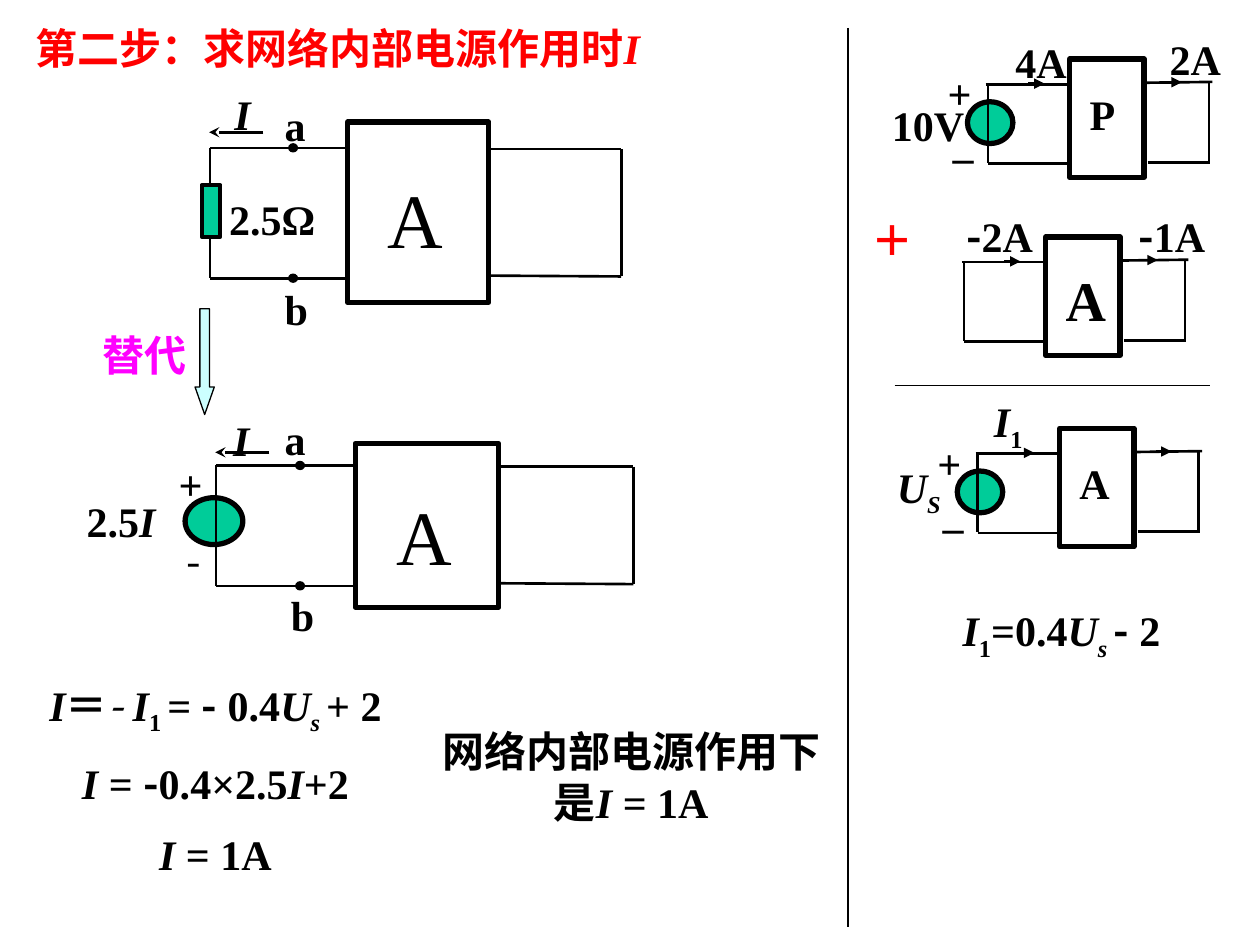
"""Build a slide that solves a network current by substitution and superposition."""
from dataclasses import dataclass, replace
from typing import Optional

from lxml import etree
from pptx import Presentation
from pptx.dml.color import RGBColor
from pptx.enum import shapes, text
from pptx.oxml import ns
from pptx.util import Pt

BLACK = RGBColor(0x00, 0x00, 0x00)
WHITE = RGBColor(0xFF, 0xFF, 0xFF)
RED = RGBColor(0xFF, 0x00, 0x00)
MAGENTA = RGBColor(0xFF, 0x00, 0xFF)
GREEN = RGBColor(0x00, 0xCC, 0x99)
PALE_CYAN = RGBColor(0xCC, 0xFF, 0xFF)
SERIF = "Times New Roman"
SANS = "Noto Sans CJK SC"
LEFT, CENTER = text.PP_ALIGN.LEFT, text.PP_ALIGN.CENTER
RECTANGLE = shapes.MSO_SHAPE.RECTANGLE
OVAL = shapes.MSO_SHAPE.OVAL


@dataclass(frozen=True)
class Run:
    text: str
    italic: bool = False
    subscript: bool = False
    bold: bool = True
    font: str = SERIF
    size: float = 24
    color: RGBColor = BLACK


@dataclass(frozen=True)
class Label:
    left: float
    top: float
    width: float
    paragraphs: list[list[Run]]
    align: text.PP_ALIGN = LEFT
    height: float = 34.6
    wrap: bool = True


@dataclass(frozen=True)
class LargeNetwork:
    left: float
    top: float
    width: float
    height: float
    wire_left: float
    wire_right: float
    upper: float
    lower: float
    dot: float
    current: float


@dataclass(frozen=True)
class SmallNetwork:
    left: float
    top: float
    has_source: bool


MINUS = Run("-", font=SANS)
CURRENT = Run("I", italic=True)
VOLTAGE = Run("U", italic=True)
SUB_ONE = Run("1", subscript=True)
SUB_S = Run("s ", italic=True, subscript=True)
RESULT = [Run("I ", italic=True), Run("= 1A")]

LARGE_NETWORKS = [
    LargeNetwork(203, 253.4, 82, 93.6, 123.5, 362, 266, 334.8, 171.5, 258.5),
    LargeNetwork(198.7, 69.8, 80.6, 103, 120, 355, 84.5, 159, 167.5, 75.6),
]
SMALL_NETWORKS = [
    SmallNetwork(611.3, 33.8, True),
    SmallNetwork(597.6, 135.4, False),
    SmallNetwork(605.5, 244.8, True),
]
SMALL_WIRES = [
    (-48, 14.4, 1.4, 14.4), (-46.8, 14.4, -46.8, 59.4), (-46.8, 59.8, -0.7, 59.8),
    (43, 13.5, 81.5, 13), (79.5, 13.5, 79.5, 59.8), (44.6, 59, 79.5, 59),
]
SMALL_ARROWS = [(-23.8, 14, -14.4, 14), (55, 13.2, 64, 13.2)]

LABELS = [
    Label(9, 9.4, 368, [[Run("第二步：求网络内部电源作用时", color=RED),
                         replace(CURRENT, color=RED)]], CENTER, wrap=False),
    Label(51.1, 185, 63.4, [[Run("替代", color=MAGENTA)]], CENTER, wrap=False),
    Label(126.7, 46.8, 23.8, [[CURRENT]], CENTER, wrap=False),
    Label(155.5, 53.3, 27, [[Run("a")]]),
    Label(155.5, 158.4, 32.4, [[Run("b")]]),
    Label(123.8, 107.3, 66.2, [[Run("2.5Ω")]]),
    Label(214.6, 94.3, 54, [[Run("A", bold=False, size=44)]], height=57),
    Label(126, 233.3, 23.8, [[CURRENT]], CENTER, wrap=False),
    Label(155.5, 232.6, 27, [[Run("a")]]),
    Label(159.1, 333.4, 33, [[Run("b")]]),
    Label(95, 258.5, 28, [[Run("+")]], CENTER, wrap=False),
    Label(97.2, 302.4, 26.6, [[replace(MINUS, bold=False)]], CENTER, wrap=False),
    Label(42.5, 279.4, 76.3, [[Run("2.5"), CURRENT]]),
    Label(219.6, 275.8, 54.7, [[Run("A", bold=False, size=44)]], height=57),
    Label(615.6, 46.8, 28.8, [[Run("P")]]),
    Label(502.6, 53.3, 57, [[Run("10V")]]),
    Label(573.1, 17.3, 49, [[Run("4A")]]),
    Label(661, 15.8, 44, [[Run("2A")]], CENTER, wrap=False),
    Label(490.3, 118.8, 38.9, [[Run("＋", color=RED)]], CENTER, wrap=False),
    Label(601.9, 148.3, 28.8, [[Run("A", size=32)]], height=43.2),
    Label(545, 116.6, 63.4, [[MINUS, Run("2A")]]),
    Label(641.5, 116.6, 56.2, [[MINUS, Run("1A")]], CENTER, wrap=False),
    Label(609.8, 257.8, 28.8, [[Run("A")]]),
    Label(505.4, 259.9, 57, [[VOLTAGE, Run("S", italic=True, subscript=True)]]),
    Label(560.9, 222.5, 49, [[CURRENT, SUB_ONE]]),
    Label(540, 342, 133.2, [[CURRENT, SUB_ONE, Run("=0.4"), VOLTAGE, SUB_S, MINUS,
                             Run(" 2")]], CENTER, wrap=False),
    Label(15.8, 384.5, 214.6, [
        [CURRENT, Run("＝"), replace(MINUS, bold=False, italic=True),
         Run(" I", italic=True), Run("1 ", subscript=True), Run("= "), MINUS,
         Run(" 0.4"), VOLTAGE, SUB_S, Run("+ 2")],
        [Run("I ", italic=True), Run("= "), MINUS, Run("0.4×2.5"), CURRENT, Run("+2")],
        RESULT], CENTER, 122.4),
    Label(241.9, 411.1, 237.6, [[Run("网络内部电源作用下是"), *RESULT]], CENTER, 64.8),
]


def draw_shape(slide, kind: shapes.MSO_SHAPE, left: float, top: float, width: float,
               height: float, fill: RGBColor, line_width: float):
    """Draw one outlined preset shape."""
    shape = slide.shapes.add_shape(kind, Pt(left), Pt(top), Pt(width), Pt(height))
    shape.shadow.inherit = False
    shape.fill.solid()
    shape.fill.fore_color.rgb = fill
    shape.line.color.rgb = BLACK
    shape.line.width = Pt(line_width)
    return shape


def draw_line(slide, x1: float, y1: float, x2: float, y2: float,
              arrow: Optional[str] = None, width: float = 1.5) -> None:
    """Draw a straight black line, with an arrowhead at its end if named."""
    connector = slide.shapes.add_connector(
        shapes.MSO_CONNECTOR.STRAIGHT, Pt(x1), Pt(y1), Pt(x2), Pt(y2))
    connector.line.color.rgb = BLACK
    connector.line.width = Pt(width)
    if arrow:
        etree.SubElement(connector.line._ln, ns.qn("a:tailEnd"), type=arrow)
    etree.SubElement(connector._element.spPr, ns.qn("a:effectLst"))


def draw_label(slide, label: Label) -> None:
    """Draw a text box, run by run."""
    box = slide.shapes.add_textbox(
        Pt(label.left), Pt(label.top), Pt(label.width), Pt(label.height))
    frame = box.text_frame
    frame.word_wrap = label.wrap
    for index, runs in enumerate(label.paragraphs):
        paragraph = frame.add_paragraph() if index else frame.paragraphs[0]
        paragraph.alignment = label.align
        if index:
            paragraph.space_before = Pt(12)
        for item in runs:
            run = paragraph.add_run()
            run.text = item.text
            font = run.font
            font.name, font.size = item.font, Pt(item.size)
            font.bold, font.italic = item.bold, item.italic
            font.color.rgb = item.color
            properties = run._r.get_or_add_rPr()
            etree.SubElement(properties, ns.qn("a:ea"), typeface=SANS)
            if item.subscript:
                properties.set("baseline", "-25000")


def draw_large_network(slide, network: LargeNetwork) -> None:
    """Draw a network box with a marked left loop and a shorted right loop."""
    n = network
    right = n.left + n.width
    draw_shape(slide, RECTANGLE, n.left, n.top, n.width, n.height, WHITE, 3)
    for wire in [(n.wire_left, n.upper, n.left, n.upper),
                 (n.wire_left, n.upper, n.wire_left, n.lower),
                 (n.wire_left, n.lower, n.left, n.lower),
                 (right, n.upper + 0.7, n.wire_right, n.upper + 0.7),
                 (n.wire_right, n.upper + 0.7, n.wire_right, n.lower - 1),
                 (right, n.lower - 1.5, n.wire_right, n.lower - 1)]:
        draw_line(slide, *wire)
    draw_line(slide, n.wire_left + 30.5, n.current, n.wire_left - 0.5, n.current, "stealth")
    for y in (n.upper, n.lower):
        draw_shape(slide, OVAL, n.dot - 2.5, y - 2.3, 5, 4.6, BLACK, 0.75)


def draw_small_network(slide, network: SmallNetwork) -> None:
    """Draw a compact network box with its loops, arrows and optional source."""
    x, y = network.left, network.top
    if network.has_source:
        draw_shape(slide, OVAL, x - 58.5, y + 24.4, 26, 23.8, GREEN, 3)
        draw_label(slide, Label(x - 77, y + 1.4, 28, [[Run("+")]], CENTER, wrap=False))
        draw_label(slide, Label(x - 74.2, y + 37.4, 26.6, [[Run("–")]], CENTER, wrap=False))
    draw_shape(slide, RECTANGLE, x, y, 42.5, 67.7, WHITE, 3)
    for lines, arrow in ((SMALL_WIRES, None), (SMALL_ARROWS, "triangle")):
        for x1, y1, x2, y2 in lines:
            draw_line(slide, x + x1, y + y1, x + x2, y + y2, arrow)


def main() -> None:
    """Build and save the slide."""
    presentation = Presentation()
    presentation.slide_width, presentation.slide_height = Pt(720), Pt(540)
    slide = presentation.slides.add_slide(presentation.slide_layouts[6])
    arrow = draw_shape(slide, shapes.MSO_SHAPE.DOWN_ARROW, 111.5, 176.4, 11, 60.5,
                       PALE_CYAN, 0.75)
    arrow.adjustments[0], arrow.adjustments[1] = 0.5, 1.43
    draw_shape(slide, OVAL, 105.8, 284.4, 33, 26.8, GREEN, 3)
    for network in LARGE_NETWORKS:
        draw_large_network(slide, network)
    draw_shape(slide, RECTANGLE, 115.2, 105.8, 10.8, 29.5, GREEN, 2.25)
    for network in SMALL_NETWORKS:
        draw_small_network(slide, network)
    draw_line(slide, 484.5, 16, 484.5, 530, width=0.75)
    draw_line(slide, 511.2, 220.3, 691.2, 220.3, width=0.75)
    for label in LABELS:
        draw_label(slide, label)
    presentation.save("out.pptx")


if __name__ == "__main__":
    main()
